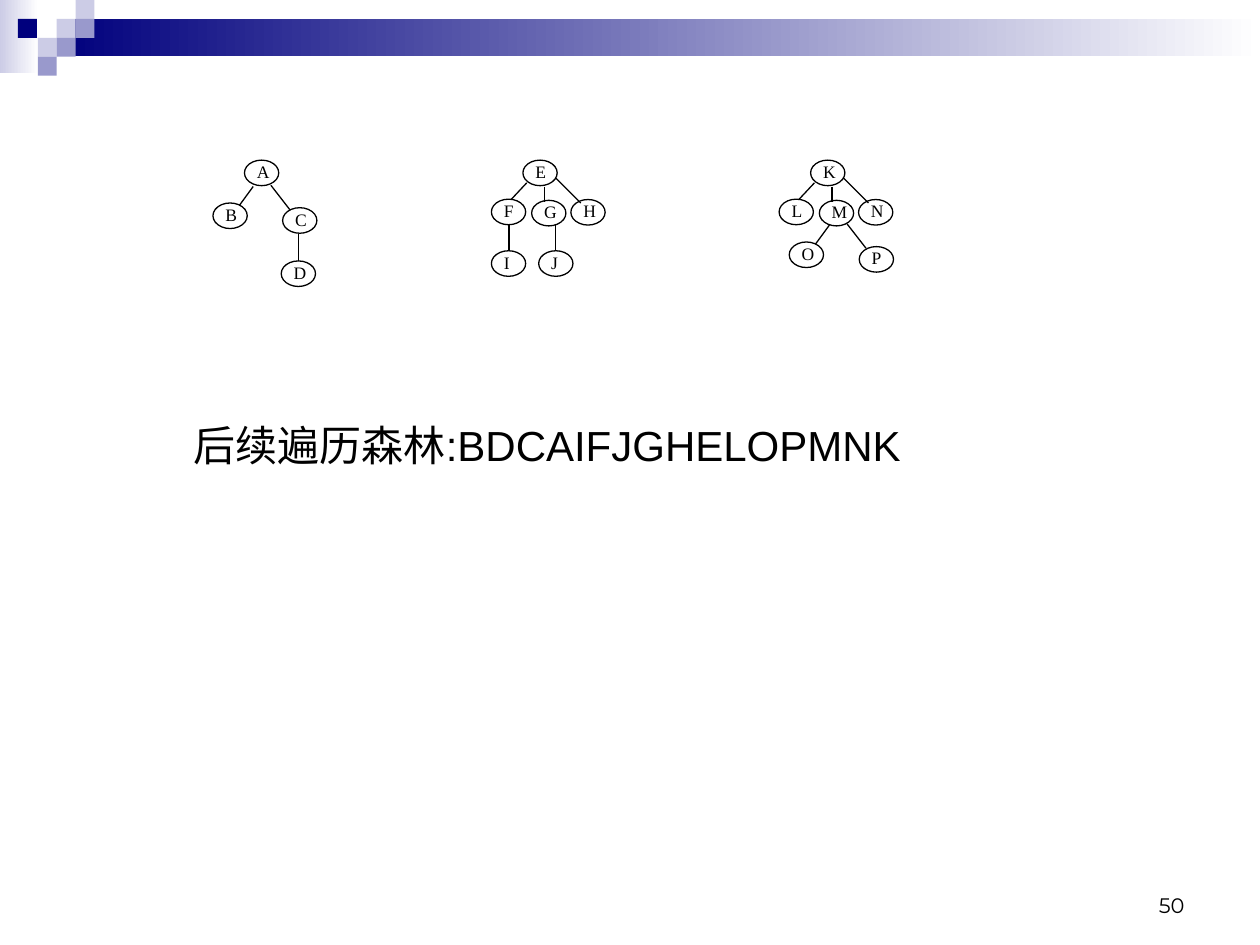
from lxml import etree
from pptx import Presentation
from pptx.dml.color import RGBColor
from pptx.enum.shapes import MSO_CONNECTOR, MSO_SHAPE
from pptx.enum.text import MSO_ANCHOR, MSO_AUTO_SIZE, PP_ALIGN
from pptx.oxml.ns import qn
from pptx.util import Pt

BLACK, WHITE, NAVY, LAVENDER, VIOLET = "000000", "FFFFFF", "00007D", "CCCCE6", "9999CC"
SQUARE = 10.8
NODE_WIDTH, NODE_HEIGHT = 19.6, 14.6

# Lines between nodes, as (x step, y step)
LEFT, RIGHT, DOWN = (-7.9, 10.8), (10.8, 13.9), (0, 15.1)

# The root and three children shared by the second and third trees
FAN_NODES = [(18, 0), (0, 22.3), (23, 23), (45.4, 22.5)]
FAN_EDGES = [((20.2, 13), (-8.7, 9.3)), ((30.2, 15.1), (0, 8.7)), ((36.7, 10.1), (14.4, 14.4))]

# Each tree: left, node letters, node places, edges as (start, step)
TREES = [
    (121.7, "ABCD", [(18, 0), (0, 24.5), (39.8, 27.2), (39, 57.6)],
     [((23, 15.1), LEFT), ((33.1, 14.4), RIGHT), ((48.9, 42.5), DOWN)]),
    (280.8, "EFGHIJ", FAN_NODES + [(0, 51.8), (27, 51.8)],
     FAN_EDGES + [((10, 36.7), DOWN), ((36.7, 36.7), DOWN)]),
    (445.2, "KLMNOP", FAN_NODES + [(5.8, 46.8), (45.8, 49.4)],
     FAN_EDGES + [((28.8, 37.1), LEFT), ((38.9, 36.5), RIGHT)]),
]
TREE_TOP = 91.5


def color(value):
    return RGBColor.from_string(value)


def points(*values):
    return [Pt(value) for value in values]


def set_format(target, values):
    for name, value in values.items():
        setattr(target, name, value)


def add_text(shapes, text, box, size, font_name, frame_format=None, align=PP_ALIGN.LEFT):
    frame = shapes.add_textbox(*points(*box)).text_frame
    set_format(frame, {"word_wrap": True, **(frame_format or {})})
    paragraph = frame.paragraphs[0]
    paragraph.text = text
    paragraph.alignment = align
    set_format(paragraph.font, {"size": Pt(size), "name": font_name})
    paragraph.font.color.rgb = color(BLACK)


def add_block(shapes, box, *colors):
    """Add a borderless rectangle, filled with one colour or a gradient of two."""
    block = shapes.add_shape(MSO_SHAPE.RECTANGLE, *points(*box))
    block.shadow.inherit = False
    block.line.fill.background()
    if len(colors) == 1:
        block.fill.solid()
        block.fill.fore_color.rgb = color(colors[0])
        return
    block.fill.gradient()
    block.fill.gradient_angle = 0
    for stop, value in zip(block.fill.gradient_stops, colors):
        stop.color.rgb = color(value)


def add_banner(slide, left, top, width):
    shapes = slide.shapes
    bar_left = 3 * SQUARE
    add_block(shapes, (left, top, 22, 41.8), LAVENDER, WHITE)
    add_block(shapes, (left + bar_left, top + SQUARE, width - bar_left, 21.4), NAVY, WHITE)
    squares = [(3, 1, LAVENDER), (4, 0, LAVENDER), (4, 1, VIOLET), (2, 2, LAVENDER),
               (0.95, 1, NAVY), (3, 2, VIOLET), (2, 3, VIOLET)]
    for column, row, fill in squares:
        place = (left + column * SQUARE, top + row * SQUARE)
        add_block(shapes, (*place, SQUARE, SQUARE), fill)


def add_node(shapes, letter, left, top):
    oval = shapes.add_shape(MSO_SHAPE.OVAL, *points(left, top, NODE_WIDTH, NODE_HEIGHT))
    oval.shadow.inherit = False
    oval.fill.background()
    oval.line.color.rgb = color(BLACK)
    oval.line.width = Pt(0.75)
    add_text(shapes, letter, (left, top - 3, 29.5, 21.6), 10, "Times New Roman")


def add_edge(shapes, left, top, step):
    edge = shapes.add_connector(
        MSO_CONNECTOR.STRAIGHT, *points(left, top, left + step[0], top + step[1]))
    edge.line.color.rgb = color(BLACK)
    edge.line.width = Pt(0.75)
    properties = edge.element.find(qn("p:spPr"))
    etree.SubElement(properties, qn("a:effectLst"))


def add_tree(slide, left, top, letters, nodes, edges):
    shapes = slide.shapes.add_group_shape().shapes
    for letter, (x, y) in zip(letters, nodes):
        add_node(shapes, letter, left + x, top + y)
    for (x, y), step in edges:
        add_edge(shapes, left + x, top + y, step)


def main():
    presentation = Presentation()
    set_format(presentation, {"slide_width": Pt(720), "slide_height": Pt(540)})
    slide = presentation.slides.add_slide(presentation.slide_layouts[6])
    add_banner(slide, 0, 0, 720)
    add_text(slide.shapes, "50", (516, 492, 168, 36), 12, "Montserrat",
             {"vertical_anchor": MSO_ANCHOR.BOTTOM}, PP_ALIGN.RIGHT)
    for left, letters, nodes, edges in TREES:
        add_tree(slide, left, TREE_TOP, letters, nodes, edges)
    add_text(slide.shapes, "后续遍历森林:BDCAIFJGHELOPMNK", (100.8, 236.2, 424, 36), 24, "Arial",
             {"word_wrap": False, "auto_size": MSO_AUTO_SIZE.SHAPE_TO_FIT_TEXT},
             PP_ALIGN.CENTER)
    presentation.save("out.pptx")


if __name__ == "__main__":
    main()
